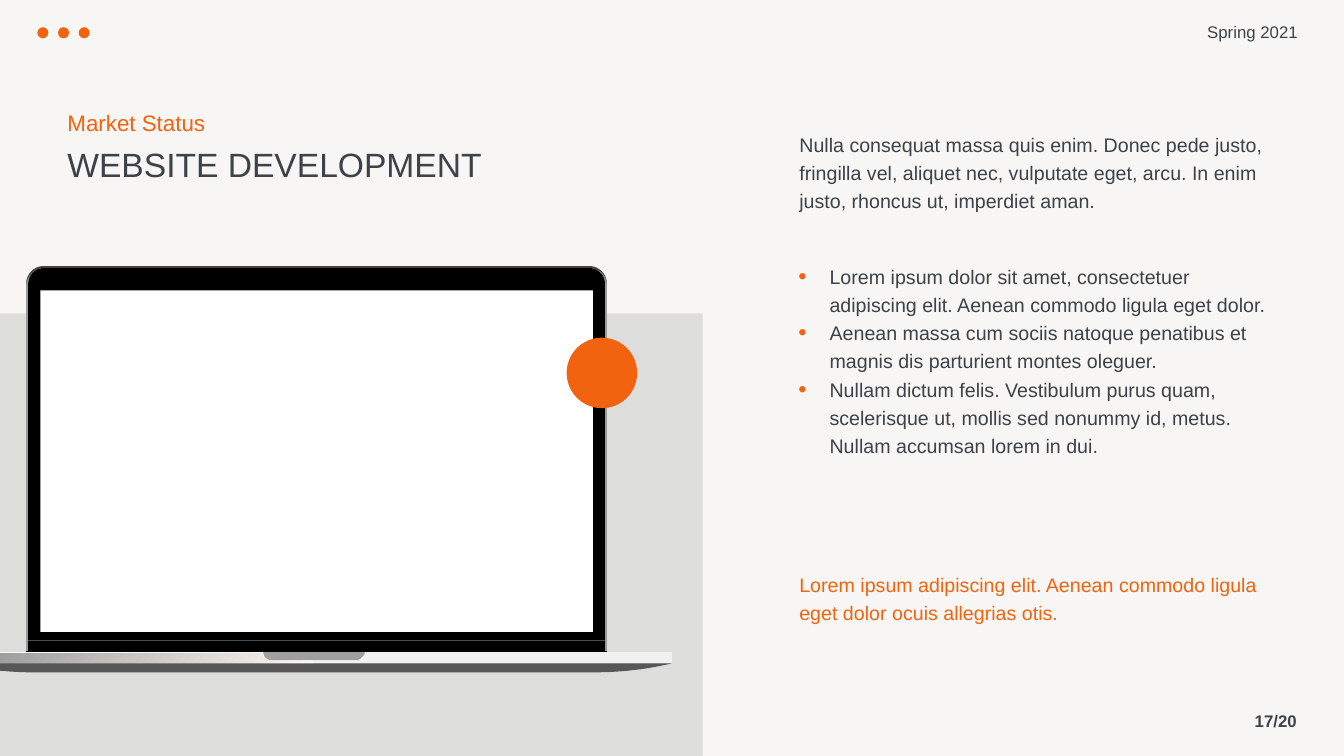
from dataclasses import dataclass

from lxml import etree
from pptx import Presentation
from pptx import util as u
from pptx.dml.color import RGBColor
from pptx.enum import shapes, text
from pptx.oxml import ns


@dataclass(frozen=True)
class Theme:
    face: str = "Arial"
    back: str = "F7F6F4"
    panel: str = "DDDDDC"
    ink: str = "3D4248"
    accent: str = "F1630F"
    black: str = "000000"
    white: str = "FFFFFF"
    rim: str = "9A9A9A"
    cap: str = "404040"
    shine: str = "F8F8F8"
    deck: str = "F1F1F1"
    shade: str = "CFCFCF"
    notch: str = "9F9F9F"
    edge: str = "F7F7F7"
    foot: str = "575757"
    fade: tuple = ("929292", "FEF7F3")
    small: int = 12
    body: int = 14
    label: int = 16
    title: int = 24


def rgb(code):
    return RGBColor.from_string(code)


def trace(path):
    """Flatten a path: pairs are corners, sextets are cubic curves."""
    points = []
    for step in path:
        if len(step) == 2:
            points.append(step)
            continue
        nodes = (points[-1], step[:2], step[2:4], step[4:])
        for i in range(1, 13):
            t = i / 12
            mix = ((1 - t) ** 3, 3 * t * (1 - t) ** 2, 3 * t * t * (1 - t), t ** 3)
            points.append(tuple(sum(m * n[axis] for m, n in zip(mix, nodes))
                                for axis in (0, 1)))
    return [(u.Inches(x), u.Inches(y)) for x, y in points]


def box(left, top, right, bottom):
    return [(left, top), (right, top), (right, bottom), (left, bottom)]


class Page:
    def __init__(self, slide, theme):
        self.slide, self.theme = slide, theme
        slide.background.fill.solid()
        slide.background.fill.fore_color.rgb = rgb(theme.back)

    def group(self):
        return self.slide.shapes.add_group_shape()

    def paint(self, item, color):
        item.shadow.inherit = False
        item.line.fill.background()
        if isinstance(color, str):
            item.fill.solid()
            item.fill.fore_color.rgb = rgb(color)
            return
        item.fill.gradient()
        item.fill.gradient_angle = 320
        for stop, code in zip(item.fill.gradient_stops, color):
            stop.color.rgb = rgb(code)

    def shape(self, kind, at, color, owner=None):
        owner = owner or self.slide
        item = owner.shapes.add_shape(kind, *map(u.Inches, at))
        self.paint(item, color)

    def free(self, path, color, owner):
        first, *rest = trace(path)
        pen = owner.shapes.build_freeform(*first)
        pen.add_line_segments(rest, close=True)
        self.paint(pen.convert_to_shape(), color)

    def bullet(self, para):
        props = para._p.get_or_add_pPr()
        props.set("marL", str(u.Inches(0.31)))
        props.set("indent", str(u.Inches(-0.31)))
        color = etree.SubElement(props, ns.qn("a:buClr"))
        etree.SubElement(color, ns.qn("a:srgbClr"), val=self.theme.accent)
        etree.SubElement(props, ns.qn("a:buSzPct"), val="120000")
        etree.SubElement(props, ns.qn("a:buFont"), typeface=self.theme.face)
        etree.SubElement(props, ns.qn("a:buChar"), char="•")

    def text(self, at, lines, size, color=None, anchor="TOP", align="LEFT",
             space=None, bold=False, listed=False):
        frame = self.slide.shapes.add_textbox(*map(u.Inches, at)).text_frame
        frame.word_wrap = True
        frame.vertical_anchor = text.MSO_ANCHOR[anchor]
        frame.text = "\n".join(lines)
        for para in frame.paragraphs:
            para.alignment = text.PP_ALIGN[align]
            if space:
                para.line_spacing = space
            if listed:
                self.bullet(para)
            font = para.font
            font.name, font.size, font.bold = self.theme.face, u.Pt(size), bold
            font.color.rgb = rgb(color or self.theme.ink)


def laptop(page):
    look, group = page.theme, page.group()
    rim = [(5.85, 2.66), (0.43, 2.66), (0.34, 2.66, 0.26, 2.74, 0.26, 2.84),
           (0.26, 6.46), (0.28, 6.46), (0.28, 2.81),
           (0.28, 2.73, 0.35, 2.66, 0.43, 2.66), (5.85, 2.66),
           (5.93, 2.66, 6, 2.73, 6, 2.81), (6, 6.46), (6.02, 6.46),
           (6.02, 2.83), (6.02, 2.73, 5.94, 2.66, 5.85, 2.66)]
    cap = [(0.26, 2.81), (0.26, 2.72, 0.34, 2.64, 0.43, 2.64), (5.85, 2.64),
           (5.94, 2.64, 6.02, 2.72, 6.02, 2.81), (6.02, 2.83),
           (6.02, 2.73, 5.94, 2.66, 5.85, 2.66), (0.43, 2.66),
           (0.34, 2.66, 0.26, 2.74, 0.26, 2.84)]
    lid = [(6, 2.81), (6, 6.355), (0.28, 6.355), (0.28, 2.81),
           (0.28, 2.73, 0.35, 2.66, 0.43, 2.66), (5.85, 2.66),
           (5.93, 2.66, 6, 2.73, 6, 2.81)]
    notch = [(3.62, 6.47), (3.62, 6.49, 3.61, 6.51, 3.59, 6.52),
             (3.58, 6.54, 3.56, 6.55, 3.53, 6.55), (2.69, 6.55),
             (2.64, 6.55, 2.61, 6.51, 2.61, 6.47)]
    edge = notch + [(2.6, 6.47), (2.6, 6.52, 2.64, 6.55, 2.68, 6.55),
                    (3.54, 6.55), (3.58, 6.55, 3.62, 6.52, 3.62, 6.47)]
    foot = [(-0.44, 6.58), (-0.19, 6.64, 0.07, 6.67, 0.33, 6.67),
            (5.89, 6.67), (6.16, 6.67, 6.42, 6.64, 6.67, 6.58)]
    for path, color in (
            (rim, look.rim), (cap, look.cap),
            (box(0.28, 6.36, 6, 6.46), look.black), (lid, look.black),
            (box(0.26, 6.46, 6.02, 6.47), look.black),
            (box(-0.44, 6.47, 3.11, 6.58), look.fade),
            (box(-0.44, 6.47, 6.67, 6.475), look.shine),
            (box(3.11, 6.47, 6.67, 6.58), look.shade),
            (box(3.11, 6.47, 6.67, 6.58), look.deck),
            (notch, look.notch), (edge, look.edge), (foot, look.foot)):
        page.free(path, color, group)
    page.shape(shapes.MSO_SHAPE.RECTANGLE, (0.4, 2.88, 5.48, 3.39), look.white, group)


def main():
    deck = Presentation()
    deck.slide_width, deck.slide_height = u.Inches(13.33), u.Inches(7.5)
    look = Theme()
    page = Page(deck.slides.add_slide(deck.slide_layouts[6]), look)
    oval = shapes.MSO_SHAPE.OVAL

    page.shape(shapes.MSO_SHAPE.RECTANGLE, (0, 3.11, 6.97, 4.39), look.panel)
    laptop(page)
    page.text((9.96, 6.95, 3, 0.4), ["17/20"], look.small,
              anchor="MIDDLE", align="RIGHT", bold=True)
    page.text((11.39, 0.12, 1.58, 0.4), ["Spring 2021"], look.small,
              anchor="MIDDLE", align="RIGHT")
    dots = page.group()
    for i in range(3):
        page.shape(oval, (0.37 + 0.205 * i, 0.27, 0.11, 0.11), look.accent, dots)

    page.text((7.83, 1.22, 4.84, 0.93), [
        "Nulla consequat massa quis enim. Donec pede justo, fringilla vel, "
        "aliquet nec, vulputate eget, arcu. In enim justo, rhoncus ut, "
        "imperdiet aman."], look.body, space=1.2)
    page.text((7.82, 2.53, 4.84, 2.34), [
        "Lorem ipsum dolor sit amet, consectetuer adipiscing elit. "
        "Aenean commodo ligula eget dolor.",
        "Aenean massa cum sociis natoque penatibus et magnis dis parturient "
        "montes oleguer.",
        "Nullam dictum felis. Vestibulum purus quam, scelerisque ut, mollis sed "
        "nonummy id, metus. Nullam accumsan lorem in dui."],
        look.body, space=1.2, listed=True)
    page.text((7.83, 5.59, 4.84, 0.65), [
        "Lorem ipsum adipiscing elit. Aenean commodo ligula eget dolor ocuis "
        "allegrias otis."], look.body, look.accent, space=1.2)
    page.text((0.57, 1.03, 3.55, 0.37), ["Market Status"], look.label, look.accent)
    page.text((0.57, 1.38, 5.32, 0.5), ["WEBSITE DEVELOPMENT"], look.title,
              anchor="BOTTOM")
    page.shape(oval, (5.62, 3.35, 0.7, 0.7), look.accent)
    deck.save("out.pptx")


if __name__ == "__main__":
    main()
